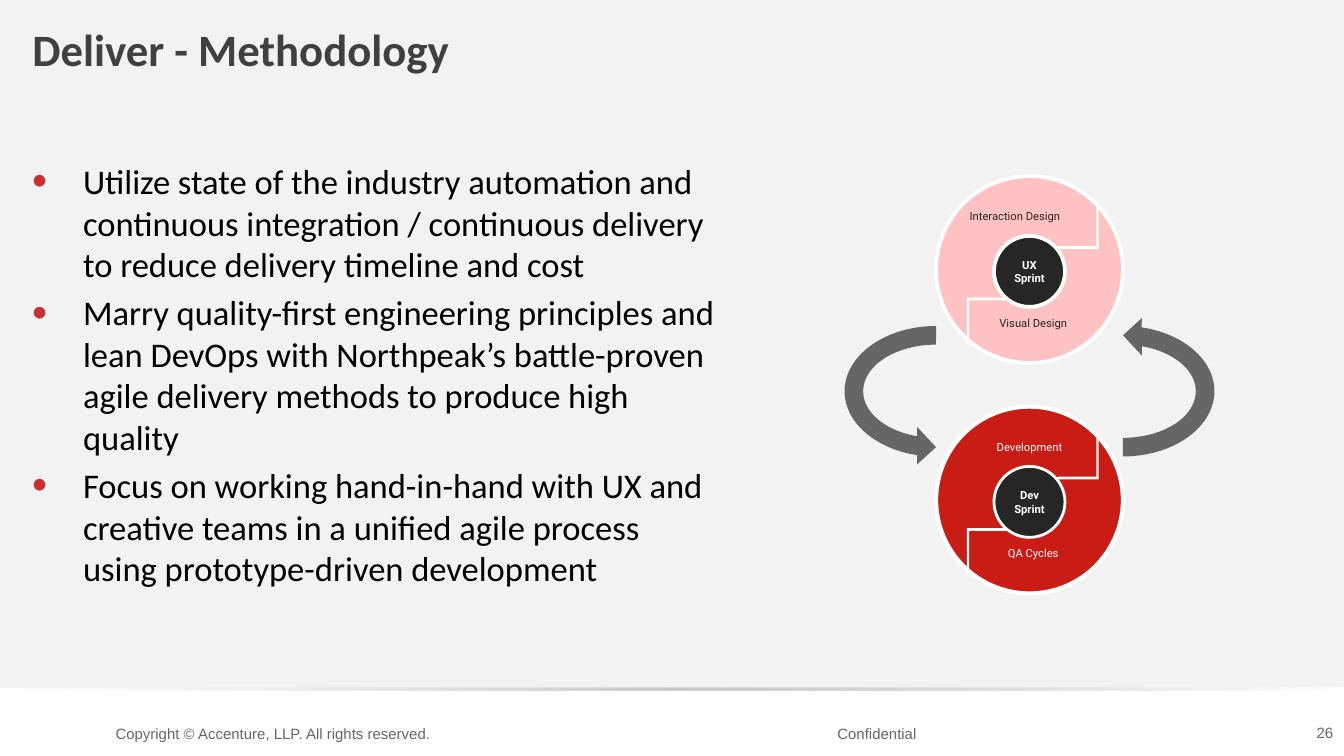
import pptx
import pptx.util
import pptx.oxml
import pptx.oxml.ns
import pptx.dml.color
import pptx.enum.shapes
import pptx.enum.text
from lxml import etree

W = 10
H = W * 9 / 16
COLORS = {
    "panel": "F2F2F2", "title": "404040", "body": "000000", "bullet": "CA2F31",
    "footer": "666666", "arrow": "666666", "hub": "262626", "white": "FFFFFF",
    "ux": "FFC2C2", "dev": "C91C15", "rule": "BFBFBF",
}
BULLETS = [
    "Utilize state of the industry automation and continuous integration / "
    "continuous delivery to reduce delivery timeline and cost",
    "Marry quality-first engineering principles and lean DevOps with Northpeak’s "
    "battle-proven agile delivery methods to produce high quality",
    "Focus on working hand-in-hand with UX and creative teams in a unified agile "
    "process using prototype-driven development",
]
SHAPE = pptx.enum.shapes.MSO_SHAPE
ALIGN = pptx.enum.text.PP_ALIGN
ANCHOR = pptx.enum.text.MSO_ANCHOR
qn = pptx.oxml.ns.qn


def rgb(name):
    return pptx.dml.color.RGBColor.from_string(COLORS[name])


def inches(box):
    return [pptx.util.Inches(v) for v in box]


def within(box, left, top, width, height):
    x, y, w, h = box
    return x + left * w, y + top * h, width * w, height * h


def add_shape(slide, kind, box, fill, line=None, weight=0):
    s = slide.shapes.add_shape(kind, *inches(box))
    s.shadow.inherit = False
    s.fill.solid()
    s.fill.fore_color.rgb = rgb(fill)
    if line:
        s.line.color.rgb = rgb(line)
        s.line.width = pptx.util.Pt(weight)
    else:
        s.line.fill.background()
    return s


def write(tf, text, size, font, color, bold=False, align=ALIGN.LEFT,
          anchor=ANCHOR.TOP, insets=(0, 0, 0, 0)):
    tf.text = text
    tf.word_wrap = True
    tf.auto_size = pptx.enum.text.MSO_AUTO_SIZE.NONE
    tf.vertical_anchor = anchor
    tf.margin_left, tf.margin_top, tf.margin_right, tf.margin_bottom = inches(insets)
    for p in tf.paragraphs:
        p.alignment = align
        for r in p.runs:
            r.font.size = pptx.util.Pt(size)
            r.font.name = font
            r.font.bold = bold
            r.font.color.rgb = rgb(color)


def add_text(slide, box, *args, **kwargs):
    s = slide.shapes.add_textbox(*inches(box))
    write(s.text_frame, *args, **kwargs)
    return s


def add_rule(slide, box):
    s = add_shape(slide, SHAPE.RECTANGLE, box, "rule")
    s.fill.gradient()
    s.fill.gradient_angle = 0
    stops = s._element.spPr.find(qn("a:gradFill")).find(qn("a:gsLst"))
    for stop in list(stops):
        stops.remove(stop)
    for pos, name, alpha in ((0, "white", 20), (50, "rule", 60), (100, "white", 100)):
        stop = etree.SubElement(stops, qn("a:gs"), pos=str(pos * 1000))
        color = etree.SubElement(stop, qn("a:srgbClr"), val=COLORS[name])
        etree.SubElement(color, qn("a:alpha"), val=str(alpha * 1000))


def add_backdrop(slide, box):
    rule = within(box, 0, 0.91, 1, 0.004)
    add_rule(slide, rule)
    add_shape(slide, SHAPE.RECTANGLE, within(box, 0, 0, 1, 0.909), "panel", "panel", 0.75)
    add_rule(slide, rule)


def add_title(slide, box):
    s = slide.shapes.title
    slide.shapes._spTree.append(s._element)
    s.left, s.top, s.width, s.height = inches(box)
    write(s.text_frame, "Deliver - Methodology", 24, "Calibri", "title", True,
          insets=(0.1, 0.05, 0.1, 0.05))


def add_bullets(slide, box):
    s = add_text(slide, box, "\n".join(BULLETS), 18.5, "Calibri", "body",
                 insets=(0.1, 0.05, 0.1, 0.05))
    indent = pptx.util.Inches(0.38)
    for i, p in enumerate(s.text_frame.paragraphs):
        if i:
            p.space_before = pptx.util.Pt(3.7)
        pPr = p._p.get_or_add_pPr()
        pPr.set("marL", str(indent))
        pPr.set("indent", str(-indent))
        color = etree.SubElement(pPr, qn("a:buClr"))
        etree.SubElement(color, qn("a:srgbClr"), val=COLORS["bullet"])
        etree.SubElement(pPr, qn("a:buSzPct"), val="125000")
        etree.SubElement(pPr, qn("a:buFont"), typeface="Arial")
        etree.SubElement(pPr, qn("a:buChar"), char="•")


def add_wheel(slide, box, fill, ink, hub, upper, lower, upper_align, weights):
    add_shape(slide, SHAPE.OVAL, box, fill, "white", weights[0])
    for left, top, turn in ((0.165, 0.65, 0), (0.64, 0.135, 180)):
        s = add_shape(slide, SHAPE.HALF_FRAME, within(box, left, top, 0.23, 0.255), "white")
        s.adjustments[0], s.adjustments[1] = 0.066, 0.052
        s.rotation = turn
    s = add_shape(slide, SHAPE.OVAL, within(box, 0.31, 0.32, 0.38, 0.38),
                  "hub", "white", weights[1])
    write(s.text_frame, hub, 6, "Roboto", "white", True, ALIGN.CENTER, ANCHOR.MIDDLE)
    add_text(slide, within(box, 0.18, 0.18, 0.64, 0.07), upper, 6, "Roboto", ink,
             align=upper_align)
    add_text(slide, within(box, 0.27, 0.75, 0.5, 0.07), lower, 6, "Roboto", ink,
             align=ALIGN.CENTER)


def add_cycle(slide, box):
    x, y, w, h = box
    d = 1.39
    left = x + (w - d) / 2
    add_wheel(slide, (left, y + h - d, d, d), "dev", "white", "Dev\vSprint",
              "Development", "QA Cycles", ALIGN.CENTER, (2.25, 1.5))
    add_wheel(slide, (left, y, d, d), "ux", "hub", "UX\vSprint",
              "Interaction Design", "Visual Design", ALIGN.LEFT, (2, 2))
    arrow_w, arrow_h = 1.11, 1.5
    top = y + 0.274 * h
    for center, flip in ((left + d, "flipV"), (left, "flipH")):
        s = add_shape(slide, SHAPE.CIRCULAR_ARROW,
                      (center - arrow_w / 2, top, arrow_w, arrow_h), "arrow")
        s.rotation = 270
        s._element.spPr.find(qn("a:xfrm")).set(flip, "1")


def add_footer(slide, box):
    for left, top, width, height, text, align, anchor in (
        (0.086, 0.33, 0.266, 0.44, "Copyright © Accenture, LLP. All rights reserved.",
         ALIGN.LEFT, ANCHOR.TOP),
        (0.37, 0.03, 0.565, 0.73, "Confidential", ALIGN.CENTER, ANCHOR.BOTTOM),
        (0.953, 0.01, 0.039, 0.73, "26", ALIGN.RIGHT, ANCHOR.BOTTOM),
    ):
        add_text(slide, within(box, left, top, width, height), text, 8, "Arial", "footer",
                 align=align, anchor=anchor, insets=(0, 0.04, 0, 0))


def main():
    prs = pptx.Presentation()
    prs.slide_width, prs.slide_height = inches((W, H))
    slide = prs.slides.add_slide(prs.slide_layouts[5])
    page = (0, 0, W, H)
    add_backdrop(slide, page)
    add_title(slide, within(page, 0.014, 0.02, 0.978, 0.15))
    add_bullets(slide, within(page, 0.014, 0.203, 0.53, 0.687))
    add_cycle(slide, within(page, 0.627, 0.233, 0.278, 0.552))
    add_footer(slide, within(page, 0, 0.927, 1, 0.073))
    prs.save("out.pptx")


if __name__ == "__main__":
    main()
